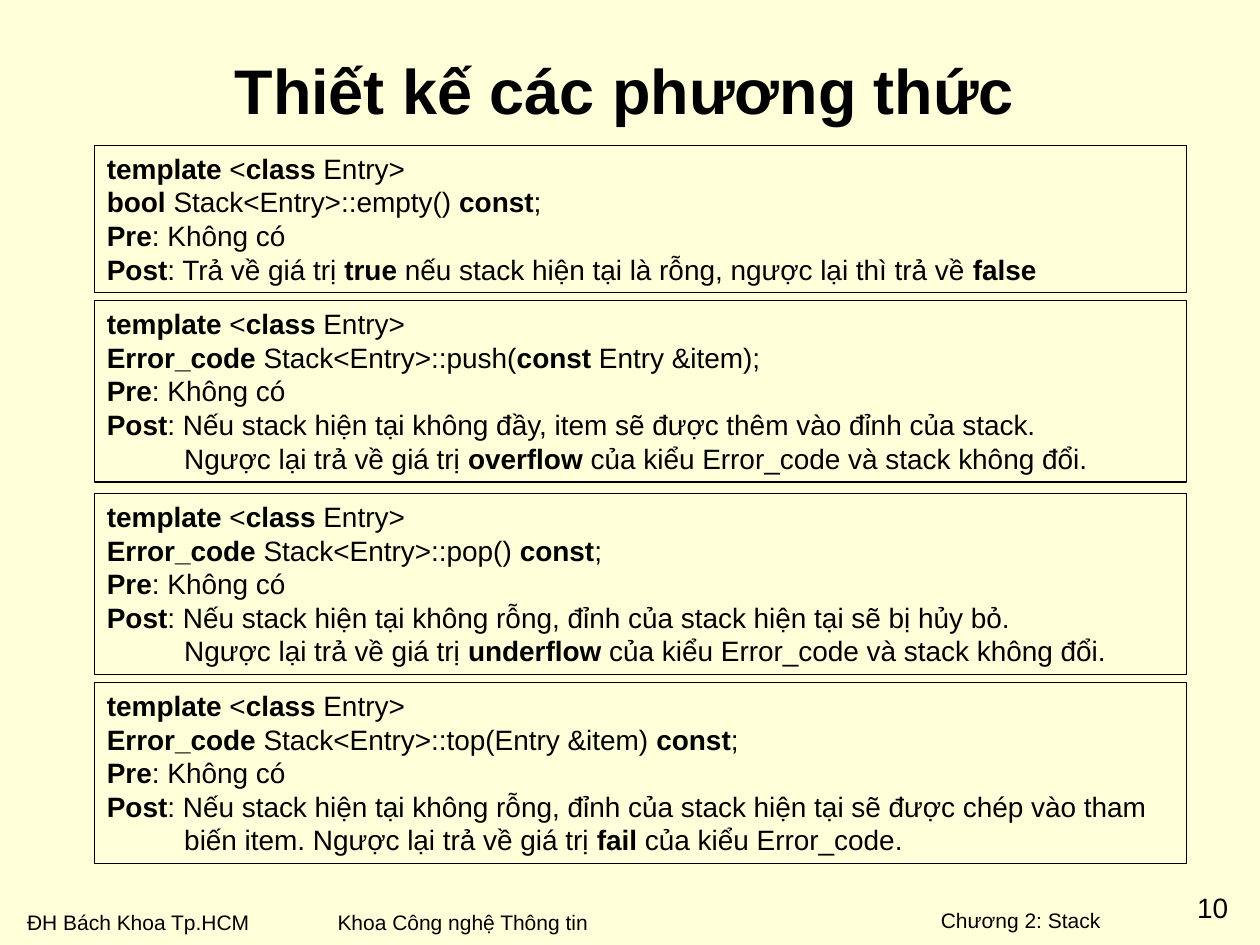
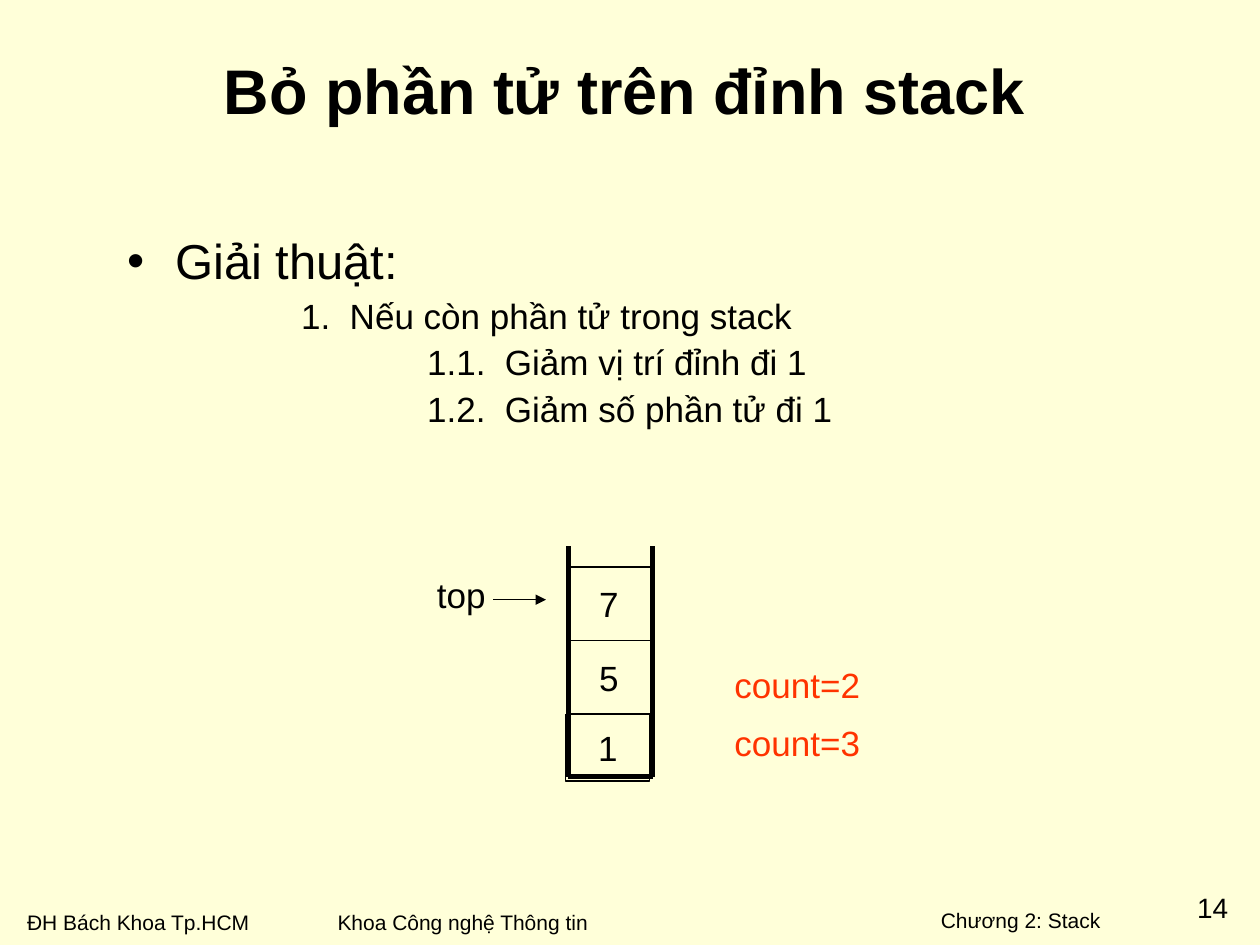
"""Builds two lecture slides on stack methods and on popping a stack."""
from lxml.etree import SubElement
from pptx import Presentation
from pptx.dml.color import RGBColor
from pptx.enum.shapes import MSO_CONNECTOR, MSO_SHAPE
from pptx.enum.text import MSO_ANCHOR, PP_ALIGN
from pptx.oxml.ns import qn
from pptx.util import Pt

CREAM = RGBColor(0xFF, 0xFF, 0xD9)
BLACK = RGBColor(0, 0, 0)
RED = RGBColor(0xFF, 0x33, 0x00)
FONT = "Arial"

TEMPLATE = "*template* <*class* Entry>"
NO_PRE = "*Pre*: Không có"
METHODS = [
    (83, 84.2, [
        "*bool* Stack<Entry>::empty() *const*;",
        NO_PRE,
        "*Post*: Trả về giá trị *true* nếu stack hiện tại là rỗng, "
        "ngược lại thì trả về *false*"], None),
    (171.8, 103.7, [
        "*Error_code* Stack<Entry>::push(*const* Entry &item);",
        NO_PRE,
        "*Post*: Nếu stack hiện tại không đầy, item sẽ được thêm vào đỉnh của stack."],
        "Ngược lại trả về giá trị *overflow* của kiểu Error_code và stack không đổi."),
    (282, 103.7, [
        "*Error_code* Stack<Entry>::pop() *const*;",
        NO_PRE,
        "*Post*: Nếu stack hiện tại không rỗng, đỉnh của stack hiện tại sẽ bị hủy bỏ."],
        "Ngược lại trả về giá trị *underflow* của kiểu Error_code và stack không đổi."),
    (390, 103.7, [
        "*Error_code* Stack<Entry>::top(Entry &item) *const*;",
        NO_PRE,
        "*Post*: Nếu stack hiện tại không rỗng, đỉnh của stack hiện tại "
        "sẽ được chép vào tham"],
        "biến item. Ngược lại trả về giá trị *fail* của kiểu Error_code."),
]
STEPS = [
    (99, "1.  Nếu còn phần tử trong stack"),
    (171, "1.1.  Giảm vị trí đỉnh đi 1"),
    (171, "1.2.  Giảm số phần tử đi 1"),
]
CELLS = [("7", 324, 324, 42), ("5", 324, 366, 42), ("1", 323.3, 408.2, 38.2)]


def add_runs(p, text, size, color=BLACK, bold=False):
    """Write text run by run, switching bold at each asterisk."""
    for i, part in enumerate(text.split("*")):
        if part:
            r = p.add_run()
            r.text = part
            r.font.name, r.font.size = FONT, Pt(size)
            r.font.bold = bold or i % 2 == 1
            r.font.color.rgb = color


def next_paragraph(tf):
    """Return the empty first paragraph, or a new one."""
    first = tf.paragraphs[0]
    return tf.add_paragraph() if first.runs else first


def set_indent(p, left, first=0):
    """Set the left margin and first-line indent of a paragraph."""
    pPr = p._p.get_or_add_pPr()
    pPr.set("marL", str(Pt(left)))
    pPr.set("indent", str(Pt(first)))
    return pPr


def add_textbox(s, x, y, w, h, wrap=True):
    """Add an empty text box and return its text frame."""
    tf = s.shapes.add_textbox(Pt(x), Pt(y), Pt(w), Pt(h)).text_frame
    tf.word_wrap = wrap
    return tf


def add_label(s, text, x, y, w, h, size, color=BLACK, align=PP_ALIGN.LEFT):
    """Add a one-line label."""
    tf = add_textbox(s, x, y, w, h, wrap=align != PP_ALIGN.LEFT)
    p = tf.paragraphs[0]
    p.alignment = align
    add_runs(p, text, size, color)
    return tf


def add_box(s, x, y, w, h, fill=None):
    """Add a thin black rectangle and return its text frame."""
    sp = s.shapes.add_shape(MSO_SHAPE.RECTANGLE, Pt(x), Pt(y), Pt(w), Pt(h))
    sp.shadow.inherit = False
    if fill is None:
        sp.fill.background()
    else:
        sp.fill.solid()
        sp.fill.fore_color.rgb = fill
    sp.line.color.rgb = BLACK
    sp.line.width = Pt(0.75)
    sp.text_frame.word_wrap = True
    return sp.text_frame


def add_line(s, x1, y1, x2, y2, width, arrow=False):
    """Add a straight black line, with an arrowhead at its end if asked."""
    c = s.shapes.add_connector(MSO_CONNECTOR.STRAIGHT, Pt(x1), Pt(y1), Pt(x2), Pt(y2))
    c.line.color.rgb = BLACK
    c.line.width = Pt(width)
    spPr = c._element.spPr
    if arrow:
        SubElement(spPr.find(qn("a:ln")), qn("a:tailEnd"), type="triangle")
    SubElement(spPr, qn("a:effectLst"))


def add_slide(prs, title, number):
    """Add a slide with the shared title and footers."""
    s = prs.slides.add_slide(prs.slide_layouts[6])
    add_label(s, "ĐH Bách Khoa Tp.HCM", 8.4, 516, 142, 21.6, 12)
    add_label(s, "Chương 2: Stack", 228, 515, 408, 21.6, 12, align=PP_ALIGN.RIGHT)
    tf = add_label(s, number, 677.5, 509, 31, 19.4, 16, align=PP_ALIGN.CENTER)
    tf.margin_left = tf.margin_right = tf.margin_top = tf.margin_bottom = 0
    add_label(s, "Khoa Công nghệ Thông tin", 185.8, 516, 158, 21.6, 12)
    tf = add_textbox(s, 66, 6, 582, 90)
    tf.vertical_anchor = MSO_ANCHOR.MIDDLE
    p = tf.paragraphs[0]
    p.alignment = PP_ALIGN.CENTER
    add_runs(p, title, 36, bold=True)
    return s


def add_method(s, y, h, lines, continuation):
    """Add the box that specifies one stack method."""
    tf = add_box(s, 54, y, 624, h, CREAM)
    tf.vertical_anchor = MSO_ANCHOR.TOP
    for line in [TEMPLATE, *lines]:
        p = next_paragraph(tf)
        p.alignment = PP_ALIGN.LEFT
        add_runs(p, line, 16)
    if continuation:
        p = tf.add_paragraph()
        p.alignment = PP_ALIGN.LEFT
        set_indent(p, 44.2)
        add_runs(p, continuation, 16)


def add_algorithm(s, heading, steps):
    """Add a bulleted heading with indented steps below it."""
    tf = add_textbox(s, 66, 132, 642, 366)
    p = tf.paragraphs[0]
    pPr = set_indent(p, 27, -27)
    SubElement(pPr, qn("a:buFont"), typeface=FONT)
    SubElement(pPr, qn("a:buChar"), char="•")
    p.line_spacing, p.space_before = 0.9, Pt(7)
    add_runs(p, heading, 28)
    for left, step in steps:
        p = tf.add_paragraph()
        set_indent(p, left)
        p.line_spacing, p.space_before = 0.9, Pt(5)
        add_runs(p, step, 20)


def add_stack(s, cells):
    """Draw the open-topped stack with its cells."""
    left, right, top, bottom = 324.7, 373, 311.8, 443.8
    add_line(s, left, bottom, right, bottom, 3)
    for x in (right, left):
        add_line(s, x, bottom, x, top, 3)
    for value, x, y, h in cells:
        tf = add_box(s, x, y, 48, h)
        tf.vertical_anchor = MSO_ANCHOR.MIDDLE
        p = tf.paragraphs[0]
        p.alignment, p.space_before = PP_ALIGN.CENTER, Pt(12.5)
        add_runs(p, value, 20)


def main():
    """Build and save the slides."""
    prs = Presentation()
    prs.slide_width, prs.slide_height = Pt(720), Pt(540)
    fill = prs.slide_master.background.fill
    fill.solid()
    fill.fore_color.rgb = CREAM

    s = add_slide(prs, "Thiết kế các phương thức", "10")
    for method in METHODS:
        add_method(s, *method)

    s = add_slide(prs, "Bỏ phần tử trên đỉnh stack", "14")
    add_algorithm(s, "Giải thuật:", STEPS)
    add_label(s, "top", 242.6, 324, 46, 31.7, 20)
    add_line(s, 282, 342.7, 312, 342.7, 0.75, arrow=True)
    add_stack(s, CELLS)
    for text, y in (("count=3", 409), ("count=2", 375.4)):
        add_label(s, text, 412.6, y, 88, 31.7, 20, RED)

    prs.save("out.pptx")


if __name__ == "__main__":
    main()
